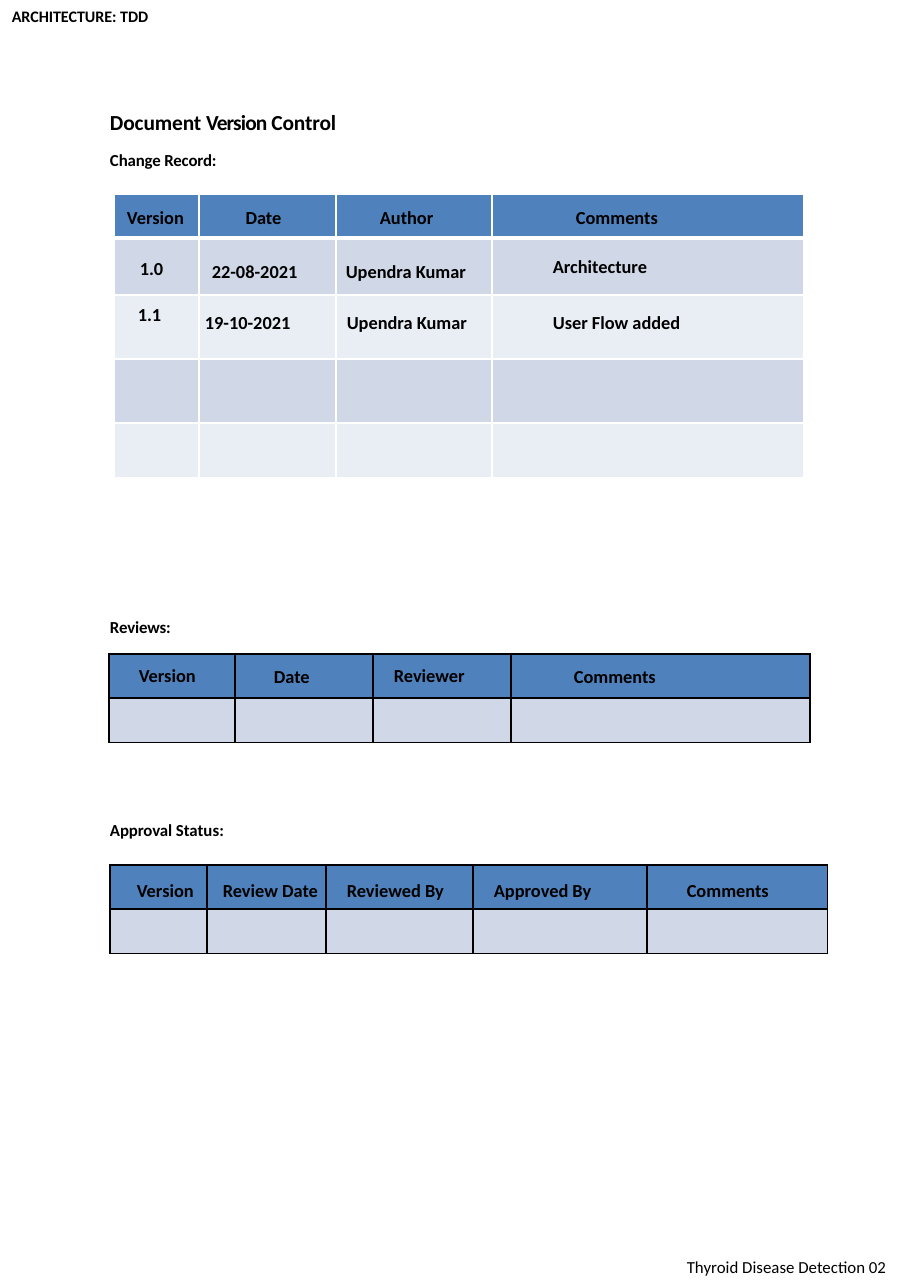
import dataclasses
import typing

import pptx
import pptx.dml.color
import pptx.enum.text
import pptx.oxml.ns
import pptx.util
from lxml import etree

SCALE = 914400 / 110.2  # EMU in one pixel
FONT = "Calibri"
COLORS = {
    "text": "000000",
    "header": "4F81BD",
    "band_dark": "D0D8E8",
    "band_light": "E9EDF4",
    "white": "FFFFFF",
    "black": "000000",
}
ALIGN = pptx.enum.text.PP_ALIGN


@dataclasses.dataclass
class Grid:
    left: int
    top: int
    columns: list[int]
    rows: list[int]
    border: str
    header_rule: float = 1  # points


@dataclasses.dataclass
class Label:
    text: str
    left: int
    top: int
    width: int
    align: typing.Any = ALIGN.LEFT


@dataclasses.dataclass
class Line:
    runs: list[tuple[str, float]]  # text and letter spacing in points
    size: float
    space_before: float = 0


@dataclasses.dataclass
class Heading:
    left: int
    top: int
    width: int
    height: int
    lines: list[Line]


def px(length: float) -> pptx.util.Emu:
    return pptx.util.Emu(round(length * SCALE))


def rgb(name: str) -> pptx.dml.color.RGBColor:
    return pptx.dml.color.RGBColor.from_string(COLORS[name])


def add_run(paragraph, text: str, *, size: float = 12, bold: bool = True, spacing: float = 0) -> None:
    run = paragraph.add_run()
    run.text = text
    run.font.name = FONT
    run.font.size = pptx.util.Pt(size)
    run.font.bold = bold
    run.font.color.rgb = rgb("text")
    if spacing:
        run._r.get_or_add_rPr().set("spc", str(round(spacing * 100)))


def add_frame(slide, left: int, top: int, width: int, height: int):
    shape = slide.shapes.add_textbox(px(left), px(top), px(width), px(height))
    frame = shape.text_frame
    frame.word_wrap = True
    frame.auto_size = pptx.enum.text.MSO_AUTO_SIZE.SHAPE_TO_FIT_TEXT
    return frame


def add_label(slide, label: Label, *, height: int = 33, **text_format) -> None:
    paragraph = add_frame(slide, label.left, label.top, label.width, height).paragraphs[0]
    paragraph.alignment = label.align
    add_run(paragraph, label.text, **text_format)


def add_heading(slide, heading: Heading) -> None:
    frame = add_frame(slide, heading.left, heading.top, heading.width, heading.height)
    frame.margin_left = frame.margin_right = frame.margin_bottom = 0
    frame.margin_top = px(1)
    for index, line in enumerate(heading.lines):
        paragraph = frame.add_paragraph() if index else frame.paragraphs[0]
        paragraph.space_before = pptx.util.Pt(line.space_before)
        paragraph._p.get_or_add_pPr().set("marL", str(px(1)))
        for text, spacing in line.runs:
            add_run(paragraph, text, size=line.size, spacing=spacing)


def set_borders(cell, color: str, widths: dict[str, float]) -> None:
    properties = cell._tc.get_or_add_tcPr()
    qn = pptx.oxml.ns.qn
    for side, width in widths.items():
        line = etree.SubElement(properties, qn(f"a:ln{side}"), w=str(pptx.util.Pt(width)))
        fill = etree.SubElement(line, qn("a:solidFill"))
        etree.SubElement(fill, qn("a:srgbClr"), val=COLORS[color])


def add_grid(slide, grid: Grid) -> None:
    shape = slide.shapes.add_table(
        len(grid.rows), len(grid.columns), px(grid.left), px(grid.top),
        px(sum(grid.columns)), px(sum(grid.rows)))
    table = shape.table
    table.first_row = table.horz_banding = False
    for column, width in zip(table.columns, grid.columns):
        column.width = px(width)
    for index, (row, height) in enumerate(zip(table.rows, grid.rows)):
        row.height = px(height)
        band = "band_dark" if index % 2 else "band_light"
        for cell in row.cells:
            set_borders(cell, grid.border, {
                "L": 1, "R": 1,
                "T": grid.header_rule if index == 1 else 1,
                "B": grid.header_rule if index == 0 else 1})
            cell.fill.solid()
            cell.fill.fore_color.rgb = rgb(band if index else "header")


HEADINGS = [
    Heading(109, 108, 260, 64, [
        Line([("Document ", -0.1), ("Version ", -0.6), ("Control", -0.1)], 14, 1),
        Line([("Change Record:", -0.1)], 11, 9.8)]),
    Heading(109, 616, 66, 23, [Line([("Reviews:", -0.1)], 11, 1.1)]),
    Heading(109, 819, 119, 23, [Line([("Approval ", -0.1), ("Status:", 0)], 11, 1.1)]),
]

GRIDS = [
    Grid(114, 194, [85, 137, 156, 312], [44, 57, 64, 64, 55], "white", header_rule=3),
    Grid(109, 654, [126, 138, 138, 299], [44, 44], "black"),
    Grid(110, 865, [97, 119, 147, 174, 181], [44, 44], "black"),
]

LABELS = [
    # Change record
    Label("Version", 112, 201, 87, ALIGN.CENTER),
    Label("Date", 228, 201, 71, ALIGN.CENTER),
    Label("Author", 369, 201, 110),
    Label("Comments", 565, 201, 138),
    Label("1.0", 129, 252, 48),
    Label("22-08-2021", 201, 255, 179),
    Label("Upendra Kumar", 335, 255, 179),
    Label("Architecture", 542, 250, 322),
    Label("1.1", 127, 298, 48),
    Label("19-10-2021", 194, 306, 179),
    Label("Upendra Kumar", 336, 306, 179),
    Label("User Flow added", 542, 306, 322),
    # Reviews
    Label("Version", 128, 659, 84),
    Label("Date", 263, 660, 91),
    Label("Reviewer", 383, 659, 110),
    Label("Comments", 563, 660, 193),
    # Approval status
    Label("Version", 126, 874, 127),
    Label("Review Date", 212, 874, 120),
    Label("Reviewed By", 336, 874, 130),
    Label("Approved By", 483, 874, 161),
    Label("Comments", 676, 874, 107),
]

presentation = pptx.Presentation()
presentation.slide_width = px(910)
presentation.slide_height = px(1288)
slide = presentation.slides.add_slide(presentation.slide_layouts[6])

# Section headings, tables and their entries
for heading in HEADINGS:
    add_heading(slide, heading)
for grid in GRIDS:
    add_grid(slide, grid)
for label in LABELS:
    add_label(slide, label)

# Page header and footer
add_label(slide, Label("ARCHITECTURE: TDD", 1, 1, 248), height=32, size=10.5)
add_label(slide, Label("Thyroid Disease Detection 02", 676, 1251, 229), height=32, size=11, bold=False)

presentation.save("out.pptx")
